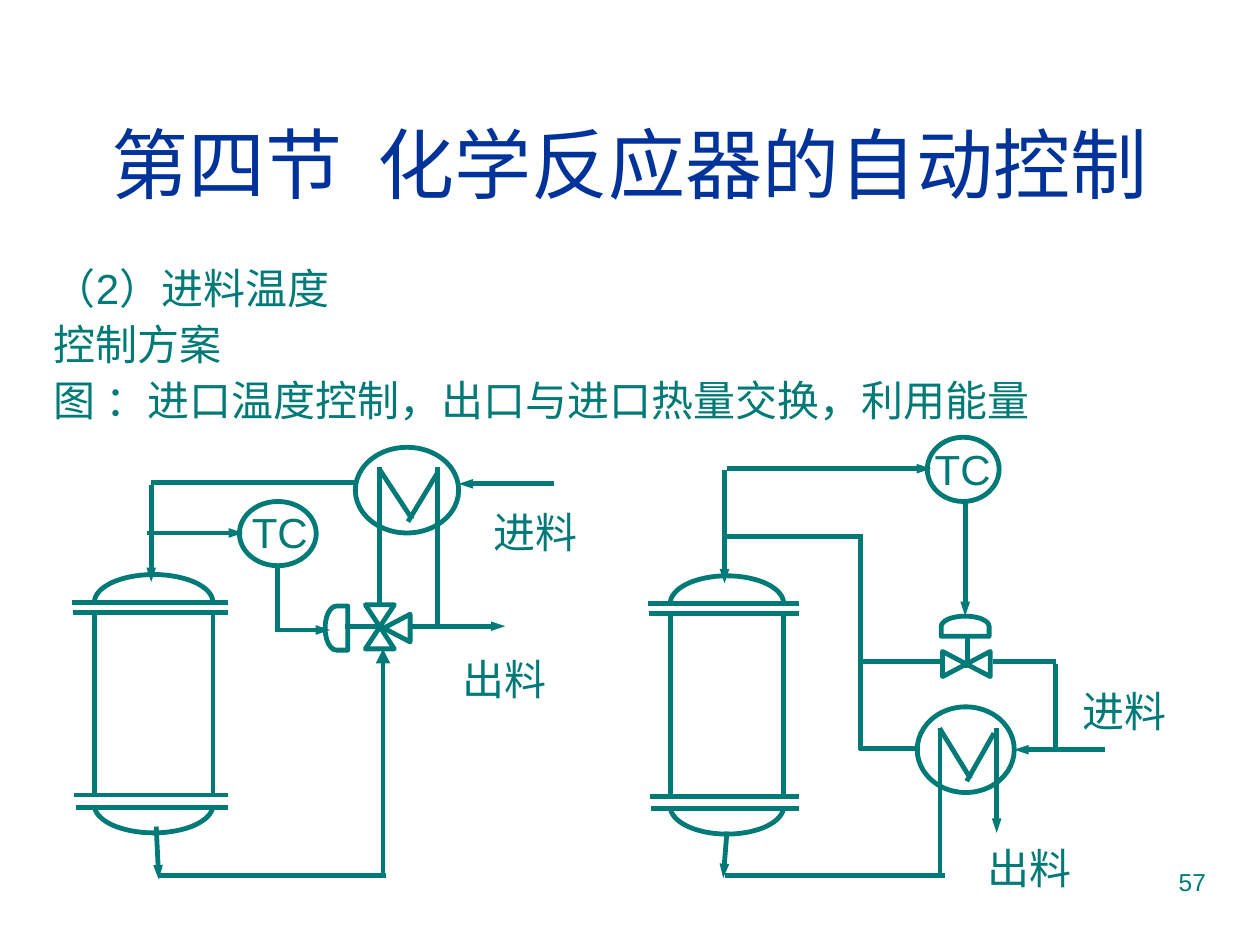
import math
from lxml import etree
from pptx import Presentation
from pptx.dml.color import RGBColor
from pptx.enum.shapes import MSO_CONNECTOR, MSO_SHAPE
from pptx.enum.text import MSO_ANCHOR, PP_ALIGN
from pptx.oxml.ns import qn
from pptx.util import Inches, Pt

STRAIGHT = MSO_CONNECTOR.STRAIGHT
OVAL = MSO_SHAPE.OVAL
COLLATE = MSO_SHAPE.FLOWCHART_COLLATE
DELAY = MSO_SHAPE.FLOWCHART_DELAY
EXTRACT = MSO_SHAPE.FLOWCHART_EXTRACT
LEFT, CENTER, RIGHT = PP_ALIGN.LEFT, PP_ALIGN.CENTER, PP_ALIGN.RIGHT
TOP, MIDDLE = MSO_ANCHOR.TOP, MSO_ANCHOR.MIDDLE

COLORS = {"title": "003399", "teal": "007A77"}
FONT = "Arial"
STROKE = 2.75
CAP_STEPS = 32

TITLE = "第四节  化学反应器的自动控制"
BODY = ["（2）进料温度", "控制方案", "图 ：进口温度控制，出口与进口热量交换，利用能量"]
LABELS = [
    ("TC", 7.32, 3.47, 0.67), ("TC", 1.9, 3.97, 0.67),
    ("进料", 8.49, 5.39, 1), ("进料", 3.82, 3.97, 1.42),
    ("出料", 3.57, 5.14, 1.42), ("出料", 7.74, 6.64, 1.42),
]
VESSELS = [(0.75, 4.78, 0.94), (5.32, 4.79, 0.9)]
EXCHANGERS = [(2.82, 3.55, 0.82), (7.28, 5.61, 0.77)]
SYMBOLS = [
    (OVAL, 1.9, 3.98, 0.61, 0.51, 0),
    (COLLATE, 2.9, 4.8, 0.23, 0.35, 0),
    (DELAY, 2.58, 4.81, 0.18, 0.35, 180),
    (EXTRACT, 3.04, 4.88, 0.22, 0.21, 270),
    (OVAL, 7.36, 3.47, 0.57, 0.51, 0),
    (COLLATE, 7.57, 5.08, 0.2, 0.38, 270),
    (DELAY, 7.58, 4.78, 0.16, 0.38, 270),
]
PIPES = [
    (1.2, 3.83, 2.82, 3.83), (2.2, 4.48, 2.2, 5.01),
    (3.01, 3.71, 3.01, 4.81), (3.47, 3.71, 3.47, 4.99),
    (2.74, 4.97, 3.05, 4.97), (1.25, 6.95, 3.06, 6.95),
    (7.46, 5.78, 7.46, 6.96), (7.68, 5.03, 7.68, 5.3),
    (5.75, 6.95, 7.5, 6.95), (6.82, 5.94, 7.3, 5.94),
    (6.83, 4.26, 6.83, 5.95), (5.75, 4.26, 6.85, 4.26),
    (6.85, 5.25, 7.48, 5.25), (7.88, 5.25, 8.38, 5.25),
    (8.38, 5.27, 8.38, 5.97),
]
RISER = (3.04, 6.97, 3.04, 5.15)
FLOWS = [
    (4.4, 3.84, 3.64, 3.84), (1.2, 3.85, 1.2, 4.62),
    (1.24, 6.56, 1.26, 6.98), (3.24, 4.97, 4.01, 4.97),
    (2.18, 5, 2.62, 5), (1.17, 4.23, 1.93, 4.23),
    (8.77, 5.95, 8.05, 5.95), (5.75, 3.73, 5.75, 4.63),
    (5.77, 6.6, 5.74, 6.97), (7.91, 5.78, 7.91, 6.61),
    (5.77, 3.72, 7.39, 3.72), (7.66, 3.98, 7.66, 4.89),
]


def color(name):
    return RGBColor.from_string(COLORS[name])


def write(box, lines, size=24, ink="teal", align=LEFT, anchor=TOP, spacing=1.0, before=0):
    frame = box.text_frame
    frame.word_wrap = True
    frame.vertical_anchor = anchor
    for index, line in enumerate(lines):
        para = frame.paragraphs[0] if index == 0 else frame.add_paragraph()
        para.alignment = align
        para.line_spacing = spacing
        para.space_before = Pt(before if index else 0)
        span = para.add_run()
        span.text = line
        span.font.size = Pt(size)
        span.font.name = FONT
        span.font.color.rgb = color(ink)


def add_text(page, lines, left, top, width, height, **style):
    box = page.shapes.add_textbox(*map(Inches, (left, top, width, height)))
    write(box, lines, **style)


def stroke(item):
    item.line.color.rgb = color("teal")
    item.line.width = Pt(STROKE)


def add_line(page, x1, y1, x2, y2, head=None):
    line = page.shapes.add_connector(STRAIGHT, *map(Inches, (x1, y1, x2, y2)))
    stroke(line)
    if head:
        etree.SubElement(line.line._get_or_add_ln(), qn("a:tailEnd"), type="triangle", w=head, len="med")
    etree.SubElement(line._element.spPr, qn("a:effectLst"))


def outline(shape):
    shape.shadow.inherit = False
    shape.fill.background()
    stroke(shape)


def add_symbol(page, kind, left, top, width, height, turn=0):
    shape = page.shapes.add_shape(kind, *map(Inches, (left, top, width, height)))
    shape.rotation = turn
    outline(shape)


def add_cap(page, left, base, width, rise):
    angles = [math.pi * step / CAP_STEPS for step in range(CAP_STEPS + 1)]
    points = [
        (Inches(left + width / 2 * (1 - math.cos(angle))), Inches(base - rise * math.sin(angle)))
        for angle in angles
    ]
    builder = page.shapes.build_freeform(*points[0])
    builder.add_line_segments(points[1:], close=False)
    outline(builder.convert_to_shape())


def add_vessel(page, left, top, width):
    right = left + width
    for x in (left, right):
        add_line(page, x, top + 0.08, x, top + 1.53)
    for drop, overhang in ((0, 0.18), (0.08, 0.17), (1.53, 0.16), (1.63, 0.15)):
        add_line(page, left - overhang, top + drop, right + 0.12, top + drop)
    add_cap(page, left, top, width, 0.22)
    add_cap(page, left, top + 1.61, width, -0.22)


def add_exchanger(page, left, top, width):
    add_symbol(page, OVAL, left, top, width, 0.68)
    for x1, y1, x2, y2 in ((0.79, 0.21, 0.51, 0.59), (0.23, 0.17, 0.55, 0.57)):
        add_line(page, left + x1 * width, top + y1, left + x2 * width, top + y2)


def main():
    deck = Presentation()
    deck.slide_width, deck.slide_height = Inches(10), Inches(7.5)
    page = deck.slides.add_slide(deck.slide_layouts[5])
    title = page.shapes.title
    title.left, title.top, title.width, title.height = map(Inches, (0.33, 0.67, 9.34, 1.25))
    write(title, [TITLE], size=44, ink="title", align=CENTER, anchor=MIDDLE)
    add_text(page, BODY, 0.33, 2.08, 9.67, 1.51, spacing=0.9, before=6)
    for vessel in VESSELS:
        add_vessel(page, *vessel)
    for exchanger in EXCHANGERS:
        add_exchanger(page, *exchanger)
    for symbol in SYMBOLS:
        add_symbol(page, *symbol)
    for pipe in PIPES:
        add_line(page, *pipe)
    for flow in FLOWS:
        add_line(page, *flow, head="sm")
    add_line(page, *RISER, head="med")
    for text, left, top, width in LABELS:
        add_text(page, [text], left, top, width, 0.5)
    add_text(page, ["57"], 7.17, 6.83, 2.5, 0.52, size=14, align=RIGHT)
    deck.save("out.pptx")


if __name__ == "__main__":
    main()
